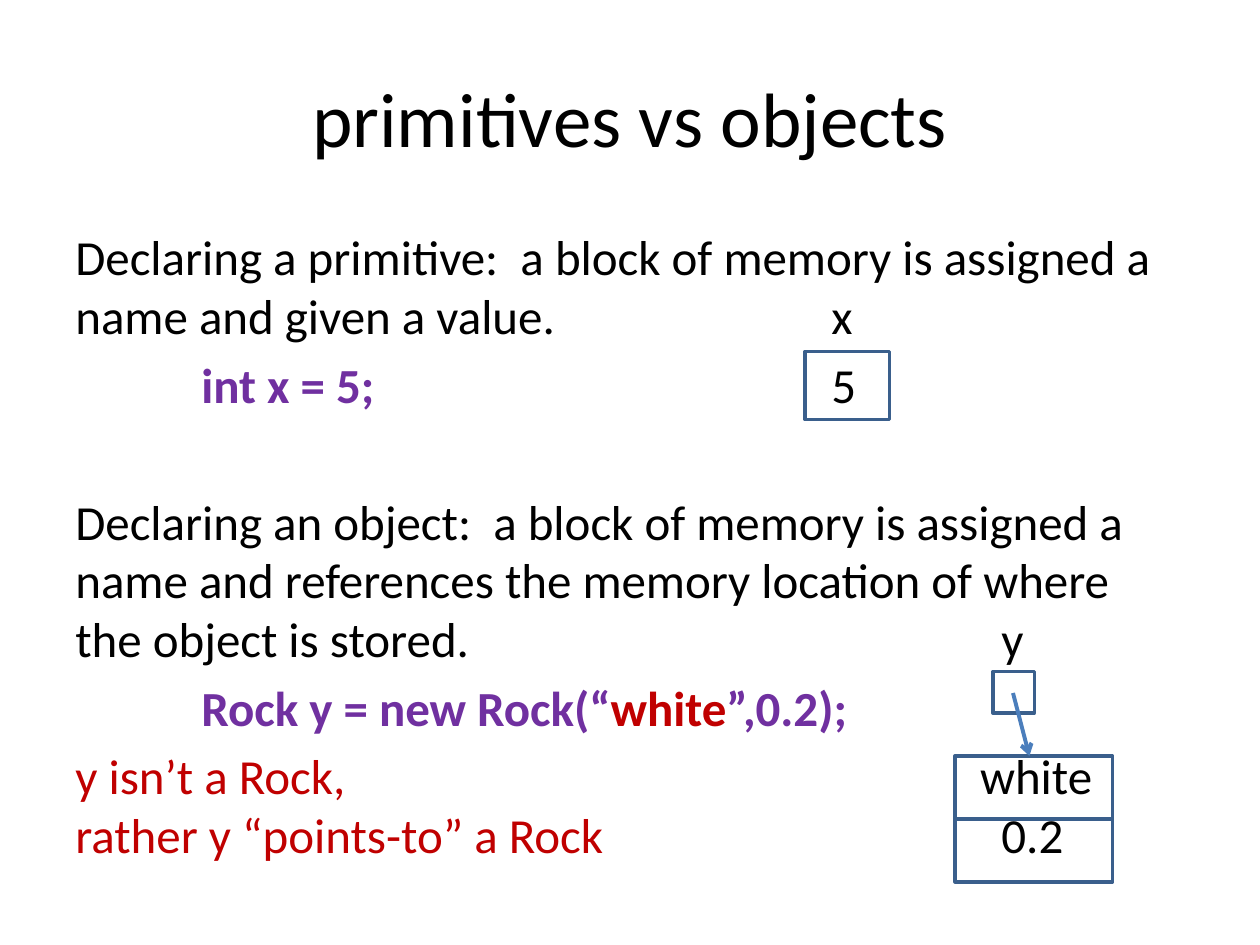
from dataclasses import dataclass

from pptx import Presentation
from pptx.dml.color import RGBColor
from pptx.enum.shapes import MSO_CONNECTOR as Connector, MSO_SHAPE as Shape
from pptx.enum.text import MSO_ANCHOR as Anchor, PP_ALIGN as Align
from pptx.oxml.xmlchemy import OxmlElement
from pptx.slide import Slide
from pptx.util import Inches, Pt


@dataclass(frozen=True)
class Theme:
    font: str = "Calibri"
    title_size: int = 44
    body_size: int = 28
    black: str = "000000"
    purple: str = "7030A0"
    red: str = "C00000"
    outline: str = "3A5F8C"
    arrow: str = "4B7EBC"


@dataclass(frozen=True)
class Span:
    text: str
    color: str = "000000"
    bold: bool = False


@dataclass(frozen=True)
class Line:
    spans: tuple[Span, ...]
    stops: tuple[float, ...]
    before: float = 5.6


@dataclass(frozen=True)
class MemoryBox:
    left: float
    top: float
    width: float
    height: float


THEME = Theme()
CODE_STOP, X_STOP, Y_STOP, WHITE_STOP = 1, 6, 7.35, 7.18

LINES = (
    Line((Span("Declaring a primitive:  a block of memory is assigned a "
               "name and given a value.\tx"),), (X_STOP,), 0),
    Line((Span("\t"), Span("int x = 5;", THEME.purple, True), Span("\t5")),
         (CODE_STOP, X_STOP)),
    Line((Span("Declaring an object:  a block of memory is assigned a name and "
               "references the memory location of where the object is stored.\ty"),),
         (Y_STOP,), 44.6),
    Line((Span("\t"), Span("Rock y = new Rock(“", THEME.purple, True),
          Span("white", THEME.red, True), Span("”,0.2);", THEME.purple, True)),
         (CODE_STOP,)),
    Line((Span("y isn’t a Rock,", THEME.red), Span("\twhite")), (WHITE_STOP,)),
    Line((Span("rather y “points-to” a Rock", THEME.red), Span("\t0.2")), (Y_STOP,), 0),
)

ROCK_LEFT, ROCK_TOP, ROCK_WIDTH, FIELD_HEIGHT = 7.58, 6, 1.25, 0.5
MEMORY_BOXES = (
    MemoryBox(6.39, 2.79, 0.67, 0.54),
    MemoryBox(7.88, 5.33, 0.33, 0.33),
    *(MemoryBox(ROCK_LEFT, ROCK_TOP + field * FIELD_HEIGHT, ROCK_WIDTH, FIELD_HEIGHT)
      for field in range(2)),
)


def add_span(paragraph, span: Span, size: int) -> None:
    run = paragraph.add_run()
    run.text = span.text
    run.font.name = THEME.font
    run.font.size = Pt(size)
    run.font.bold = span.bold
    run.font.color.rgb = RGBColor.from_string(span.color)


def add_title(slide: Slide, wording: str) -> None:
    title = slide.shapes.title
    title.left, title.top = Inches(0.5), Inches(0.3)
    title.width, title.height = Inches(9), Inches(1.25)
    title.text_frame.vertical_anchor = Anchor.MIDDLE
    heading = title.text_frame.paragraphs[0]
    heading.alignment = Align.CENTER
    add_span(heading, Span(wording), THEME.title_size)


def add_tab_stops(paragraph, stops: tuple[float, ...]) -> None:
    tab_list = OxmlElement("a:tabLst")
    for stop in stops:
        tab = OxmlElement("a:tab")
        tab.set("pos", str(Inches(stop)))
        tab.set("algn", "l")
        tab_list.append(tab)
    paragraph._p.get_or_add_pPr().append(tab_list)


def add_explanation(slide: Slide, lines: tuple[Line, ...]) -> None:
    body = slide.shapes.add_textbox(Inches(0.5), Inches(1.75), Inches(9), Inches(5.5))
    frame = body.text_frame
    frame.word_wrap = True
    for index, line in enumerate(lines):
        paragraph = frame.add_paragraph() if index else frame.paragraphs[0]
        add_tab_stops(paragraph, line.stops)
        paragraph.space_before = Pt(line.before)
        for span in line.spans:
            add_span(paragraph, span, THEME.body_size)


def add_memory_box(slide: Slide, box: MemoryBox) -> None:
    cell = slide.shapes.add_shape(Shape.RECTANGLE, Inches(box.left), Inches(box.top),
                                  Inches(box.width), Inches(box.height))
    cell.shadow.inherit = False
    cell.fill.background()
    cell.line.color.rgb = RGBColor.from_string(THEME.outline)
    cell.line.width = Pt(2)


def add_reference_arrow(slide: Slide) -> None:
    reference = slide.shapes.add_connector(Connector.STRAIGHT, Inches(8.04), Inches(5.5),
                                           Inches(8.17), Inches(ROCK_TOP))
    reference.line.color.rgb = RGBColor.from_string(THEME.arrow)
    reference.line.width = Pt(2.25)
    head = OxmlElement("a:tailEnd")
    head.set("type", "arrow")
    reference.line._get_or_add_ln().append(head)
    reference._element.spPr.append(OxmlElement("a:effectLst"))


def main() -> None:
    deck = Presentation()
    deck.slide_width, deck.slide_height = Inches(10), Inches(7.5)
    slide = deck.slides.add_slide(deck.slide_layouts[5])
    add_title(slide, "primitives vs objects")
    add_explanation(slide, LINES)
    for box in MEMORY_BOXES:
        add_memory_box(slide, box)
    add_reference_arrow(slide)
    deck.save("out.pptx")


if __name__ == "__main__":
    main()
